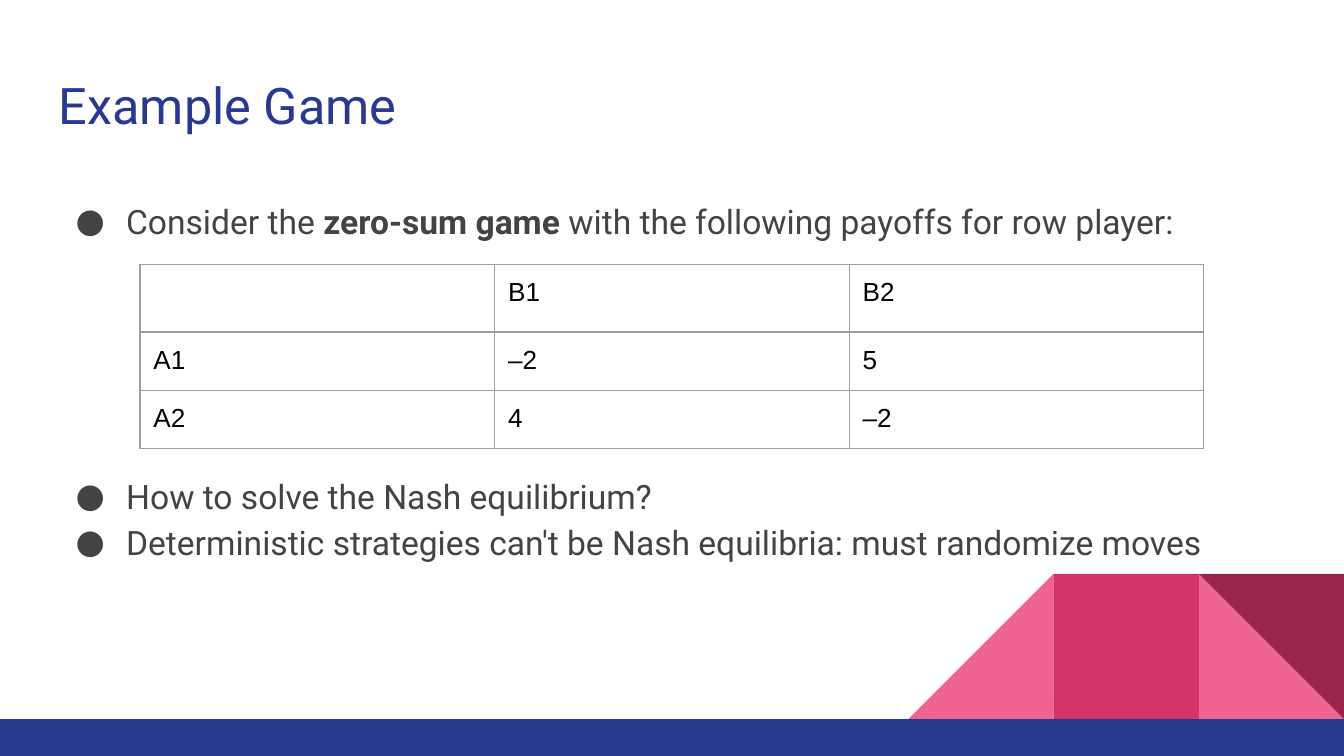
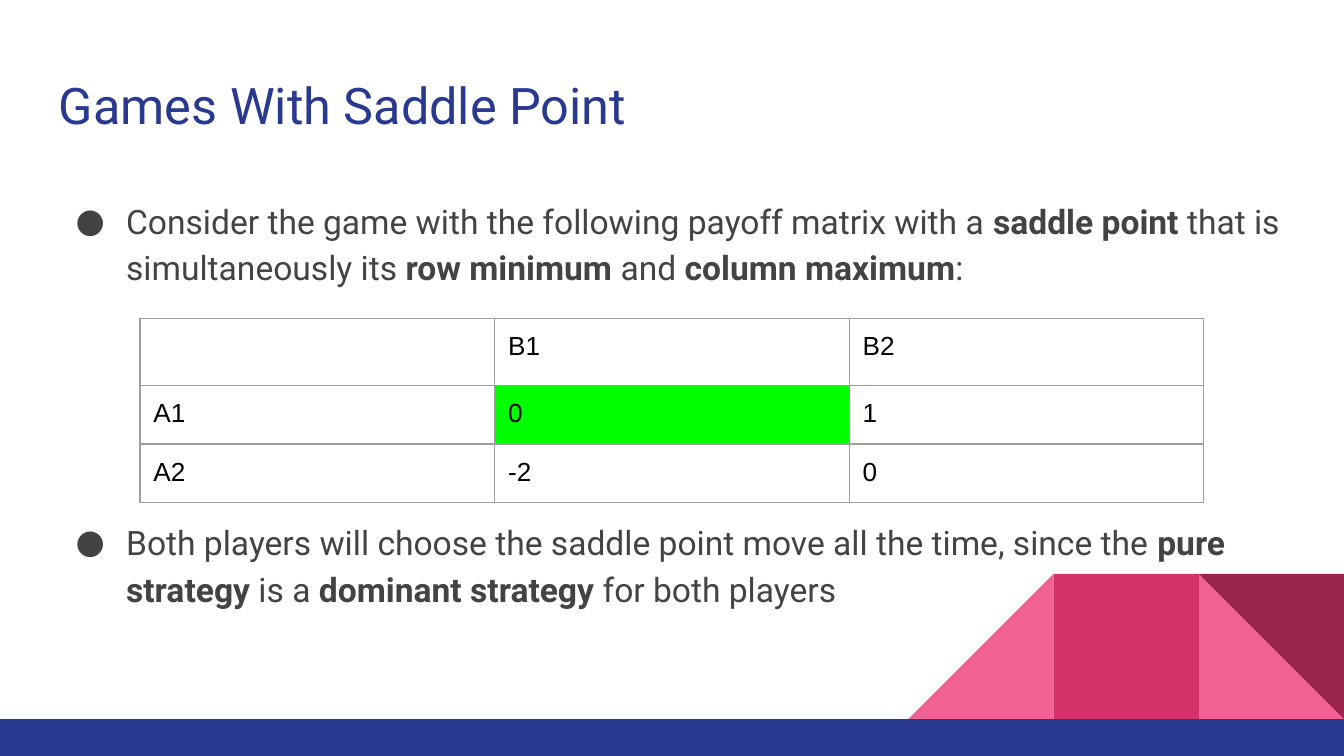
import dataclasses
import lxml.etree
import pptx
import pptx.dml.color
import pptx.enum.shapes
import pptx.oxml.ns
import pptx.util

Pt = pptx.util.Pt
Kind = pptx.enum.shapes.MSO_SHAPE


@dataclasses.dataclass(frozen=True)
class Theme:
    navy: str = "2A3990"
    pink: str = "F06292"
    rose: str = "D23369"
    wine: str = "9C254D"
    ink: str = "434343"
    black: str = "000000"
    rule: str = "9E9E9E"
    mark: str = "00FF00"
    font: str = "Roboto"
    grid_font: str = "Arial"
    title: int = 27
    body: int = 18
    cell: int = 14


@dataclasses.dataclass(frozen=True)
class Box:
    left: float
    top: float
    width: float
    height: float


@dataclasses.dataclass(frozen=True)
class Piece:
    kind: Kind
    box: Box
    color: str
    turn: int = 0
    flip: bool = False


@dataclasses.dataclass(frozen=True)
class Bullet:
    text: str  # words between asterisks are bold
    before: float = 0


@dataclasses.dataclass(frozen=True)
class Game:
    title: str
    bullets: tuple[Bullet, ...]
    top: float
    rows: tuple[tuple[str, ...], ...]
    saddle: tuple[int, int] | None = None


THEME = Theme()
WIDE, HIGH = 720, 405
PAD = 7.2
GAP = 122.5  # room in the body text for the payoff table

# Shared places and decoration
TITLE = Box(24.5, 32.4, 671, 47.5)
BODY = Box(24.5, 97.2, 671, 263)
GRID_LEFT, COL, ROW = 75, 190, 30
BASE, TILE = 385.2, 77.8


def tile(slot: int) -> Box:
    """Square on the band, counted from the right edge."""
    return Box(WIDE - slot * TILE, BASE - TILE, TILE, TILE)


DECOR = (
    Piece(Kind.RIGHT_TRIANGLE, tile(1), THEME.pink),
    Piece(Kind.RIGHT_TRIANGLE, tile(3), THEME.pink, flip=True),
    Piece(Kind.RECTANGLE, tile(2), THEME.rose),
    Piece(Kind.RIGHT_TRIANGLE, tile(1), THEME.wine, turn=180),
    Piece(Kind.RECTANGLE, Box(0, BASE, WIDE, HIGH - BASE), THEME.navy),
)

# Slide content
GAMES = (
    Game(
        "Example Game",
        (
            Bullet("Consider the *zero-sum game* with the following payoffs for row player:"),
            Bullet("How to solve the Nash equilibrium?", GAP),
            Bullet("Deterministic strategies can't be Nash equilibria: must randomize moves"),
        ),
        141.8,
        (("", "B1", "B2"), ("A1", "–2", "5"), ("A2", "4", "–2")),
    ),
    Game(
        "Games With Saddle Point",
        (
            Bullet("Consider the game with the following payoff matrix with a *saddle point* that is "
                   "simultaneously its *row minimum* and *column maximum*:"),
            Bullet("Both players will choose the saddle point move all the time, since the "
                   "*pure strategy* is a *dominant strategy* for both players", GAP),
        ),
        170.6,
        (("", "B1", "B2"), ("A1", "0", "1"), ("A2", "-2", "0")),
        saddle=(1, 1),
    ),
)


# Helpers
def rgb(code: str) -> pptx.dml.color.RGBColor:
    return pptx.dml.color.RGBColor.from_string(code)


def place(box: Box) -> tuple[int, ...]:
    return tuple(Pt(n) for n in dataclasses.astuple(box))


def sub(node, tag: str, **attrs: str):
    return lxml.etree.SubElement(node, pptx.oxml.ns.qn(tag), attrs)


def style(font, face: str, size: int, color: str, bold: bool = False) -> None:
    font.name, font.size, font.bold = face, Pt(size), bold
    font.color.rgb = rgb(color)


def draw_piece(slide, piece: Piece) -> None:
    shape = slide.shapes.add_shape(piece.kind, *place(piece.box))
    shape.shadow.inherit = False
    shape.fill.solid()
    shape.fill.fore_color.rgb = rgb(piece.color)
    shape.line.fill.background()
    shape.rotation = piece.turn
    if piece.flip:
        shape._element.spPr.xfrm.set("flipH", "1")


def add_frame(slide, box: Box):
    frame = slide.shapes.add_textbox(*place(box)).text_frame
    frame.word_wrap = True
    frame.margin_left = frame.margin_right = Pt(PAD)
    frame.margin_top = frame.margin_bottom = Pt(PAD)
    return frame


def draw_title(slide, text: str) -> None:
    frame = add_frame(slide, TITLE)
    frame.text = text
    style(frame.paragraphs[0].runs[0].font, THEME.font, THEME.title, THEME.navy)


def add_dot(para) -> None:
    props = para._p.get_or_add_pPr()
    props.set("marL", str(Pt(36)))
    props.set("indent", str(Pt(-27)))
    sub(sub(props, "a:buClr"), "a:srgbClr", val=THEME.ink)
    sub(props, "a:buSzPts", val=str(THEME.body * 100))
    sub(props, "a:buFont", typeface=THEME.font)
    sub(props, "a:buChar", char="●")


def draw_body(slide, bullets: tuple[Bullet, ...]) -> None:
    frame = add_frame(slide, BODY)
    for i, bullet in enumerate(bullets):
        para = frame.add_paragraph() if i else frame.paragraphs[0]
        para.line_spacing = 1.15
        para.space_before = Pt(bullet.before)
        add_dot(para)
        for j, part in enumerate(bullet.text.split("*")):
            run = para.add_run()
            run.text = part
            style(run.font, THEME.font, THEME.body, THEME.ink, j % 2 == 1)


def add_rules(cell) -> None:
    props = cell._tc.get_or_add_tcPr()
    for side in ("a:lnL", "a:lnR", "a:lnT", "a:lnB"):
        line = sub(props, side, w=str(Pt(0.75)))
        sub(sub(line, "a:solidFill"), "a:srgbClr", val=THEME.rule)


def draw_grid(slide, game: Game) -> None:
    rows, cols = len(game.rows), len(game.rows[0])
    box = Box(GRID_LEFT, game.top, cols * COL, rows * ROW)
    grid = slide.shapes.add_table(rows, cols, *place(box)).table
    grid.first_row = grid.horz_banding = False
    for r, row in enumerate(game.rows):
        for c, text in enumerate(row):
            cell = grid.cell(r, c)
            cell.margin_left = cell.margin_right = Pt(PAD)
            cell.margin_top = cell.margin_bottom = Pt(PAD)
            add_rules(cell)
            if (r, c) == game.saddle:
                cell.fill.solid()
                cell.fill.fore_color.rgb = rgb(THEME.mark)
            else:
                cell.fill.background()
            cell.text_frame.text = text
            for run in cell.text_frame.paragraphs[0].runs:
                style(run.font, THEME.grid_font, THEME.cell, THEME.black)


def draw_game(deck, game: Game) -> None:
    slide = deck.slides.add_slide(deck.slide_layouts[6])
    for piece in DECOR:
        draw_piece(slide, piece)
    draw_title(slide, game.title)
    draw_body(slide, game.bullets)
    draw_grid(slide, game)


def main() -> None:
    deck = pptx.Presentation()
    deck.slide_width, deck.slide_height = Pt(WIDE), Pt(HIGH)
    for game in GAMES:
        draw_game(deck, game)
    deck.save("out.pptx")


if __name__ == "__main__":
    main()
